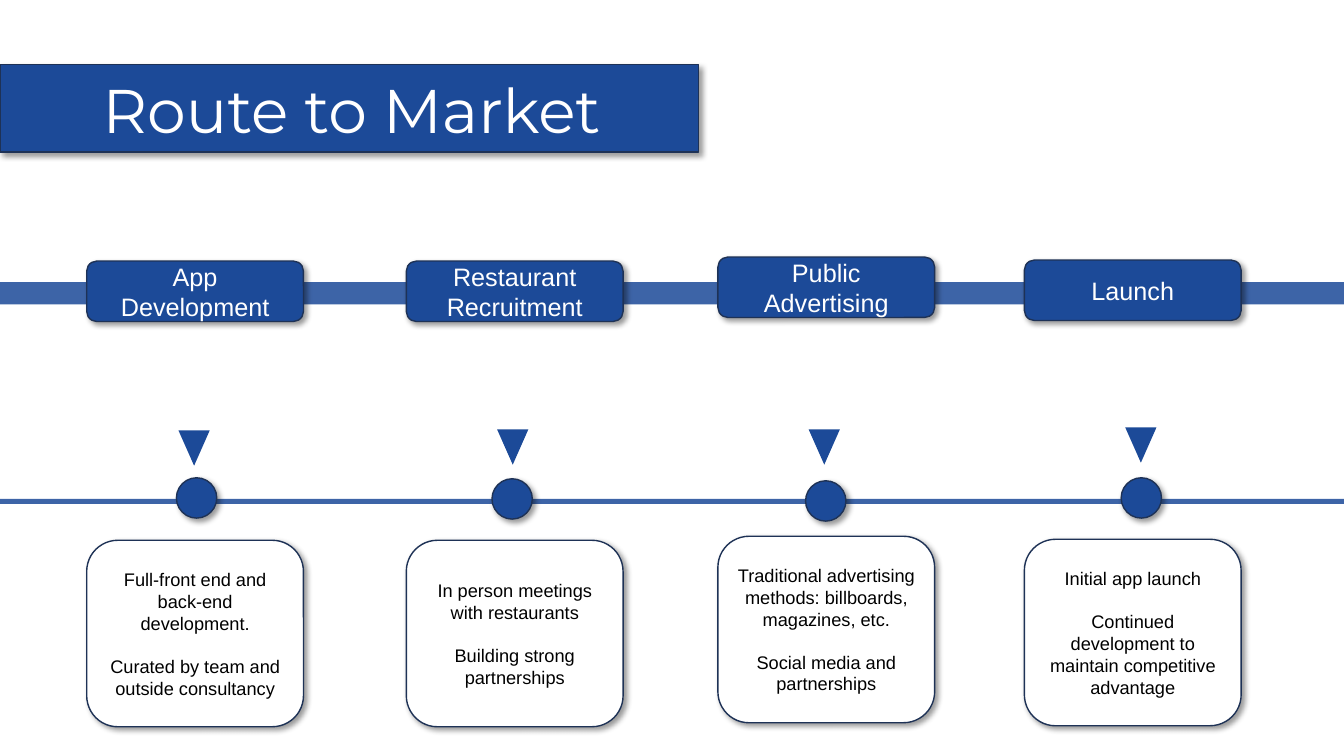
"""Build the Route to Market timeline slide."""
from lxml import etree
from pptx import Presentation
from pptx import util as u
from pptx.dml.color import RGBColor
from pptx.enum import shapes, text
from pptx.oxml import ns

COLOURS = {"blue": "1C4A98", "outline": "1E3256", "white": "FFFFFF", "black": "000000"}
FORMATS = {
    "title": {"name": "Montserrat", "size": u.Pt(44)},
    "label": {"name": "Arial", "size": u.Pt(18)},
    "card": {"name": "Arial", "size": u.Pt(13)},
}
SHADOW = (
    f'<a:effectLst xmlns:a="{ns.nsuri("a")}">'
    '<a:outerShdw blurRad="50800" dist="38100" dir="2700000" algn="tl" rotWithShape="0">'
    '<a:srgbClr val="000000"><a:alpha val="40000"/></a:srgbClr>'
    "</a:outerShdw></a:effectLst>"
)
PRESET = shapes.MSO_SHAPE
STAGES = [
    {"label": "App Development", "left": 0.86, "top": 2.59, "arrow": (1.77, 4.27), "dot": (1.75, 4.74),
     "card": ["Full-front end and back-end development.", "Curated by team and outside consultancy"]},
    {"label": "Restaurant Recruitment", "left": 4.03, "top": 2.59, "arrow": (4.93, 4.26), "dot": (4.88, 4.75),
     "card": ["In person meetings with restaurants", "Building strong partnerships"]},
    {"label": "Public Advertising", "left": 7.12, "top": 2.55, "arrow": (8.02, 4.26), "dot": (7.99, 4.77),
     "card": ["Traditional advertising methods: billboards, magazines, etc.", "Social media and partnerships"]},
    {"label": "Launch", "left": 10.16, "top": 2.58, "arrow": (11.16, 4.24), "dot": (11.12, 4.74),
     "card": ["Initial app launch", "Continued development to maintain competitive advantage"]},
]
CARD_DROP = 2.77

presentation = Presentation()
presentation.slide_width, presentation.slide_height = u.Inches(13.33), u.Inches(7.5)
slide = presentation.slides.add_slide(presentation.slide_layouts[6])


def add_block(preset, left, top, width, height, fill="blue", raised=True):
    """Add a filled shape, outlined and shadowed when raised."""
    shape = slide.shapes.add_shape(preset, *map(u.Inches, (left, top, width, height)))
    shape.shadow.inherit = False
    shape.fill.solid()
    shape.fill.fore_color.rgb = RGBColor.from_string(COLOURS[fill])
    if raised:
        shape.line.color.rgb = RGBColor.from_string(COLOURS["outline"])
        shape.line.width = u.Pt(1)
        properties = shape.element.spPr
        properties.replace(properties.find(ns.qn("a:effectLst")), etree.fromstring(SHADOW))
    else:
        shape.line.fill.background()
    return shape


def write(shape, paragraphs, style, colour, align=text.PP_ALIGN.CENTER):
    """Write middle-anchored paragraphs in one of the text formats."""
    frame = shape.text_frame
    frame.word_wrap = True
    frame.vertical_anchor = text.MSO_ANCHOR.MIDDLE
    for index, wording in enumerate(paragraphs):
        paragraph = frame.add_paragraph() if index else frame.paragraphs[0]
        paragraph.alignment = align
        if index:
            paragraph.space_before = u.Pt(15)
        run = paragraph.add_run()
        run.text = wording
        for attribute, value in FORMATS[style].items():
            setattr(run.font, attribute, value)
        run.font.color.rgb = RGBColor.from_string(COLOURS[colour])


for top, height in [(2.8, 0.22), (4.95, 0.05)]:
    band = add_block(PRESET.RECTANGLE, 0, top, 13.33, height, raised=False)
    colour = band.element.spPr.find(ns.qn("a:solidFill"))[0]
    etree.SubElement(colour, ns.qn("a:alpha")).set("val", "85000")

add_block(PRESET.RECTANGLE, 0, 0.64, 6.93, 0.87)
title = slide.shapes.add_textbox(*map(u.Inches, (0.92, 0.4, 11.5, 1.45)))
write(title, ["Route to Market"], "title", "white", text.PP_ALIGN.LEFT)
title.text_frame.paragraphs[0].line_spacing = 0.9

for stage in STAGES:
    left, top = stage["left"], stage["top"]
    label = add_block(PRESET.ROUNDED_RECTANGLE, left, top, 2.15, 0.6)
    write(label, [stage["label"]], "label", "white")
    arrow = add_block(PRESET.ISOSCELES_TRIANGLE, *stage["arrow"], 0.31, 0.35, raised=False)
    arrow.rotation = 180
    add_block(PRESET.OVAL, *stage["dot"], 0.4, 0.4)
    card = add_block(PRESET.ROUNDED_RECTANGLE, left, top + CARD_DROP, 2.15, 1.85, fill="white")
    write(card, stage["card"], "card", "black")

presentation.save("out.pptx")
